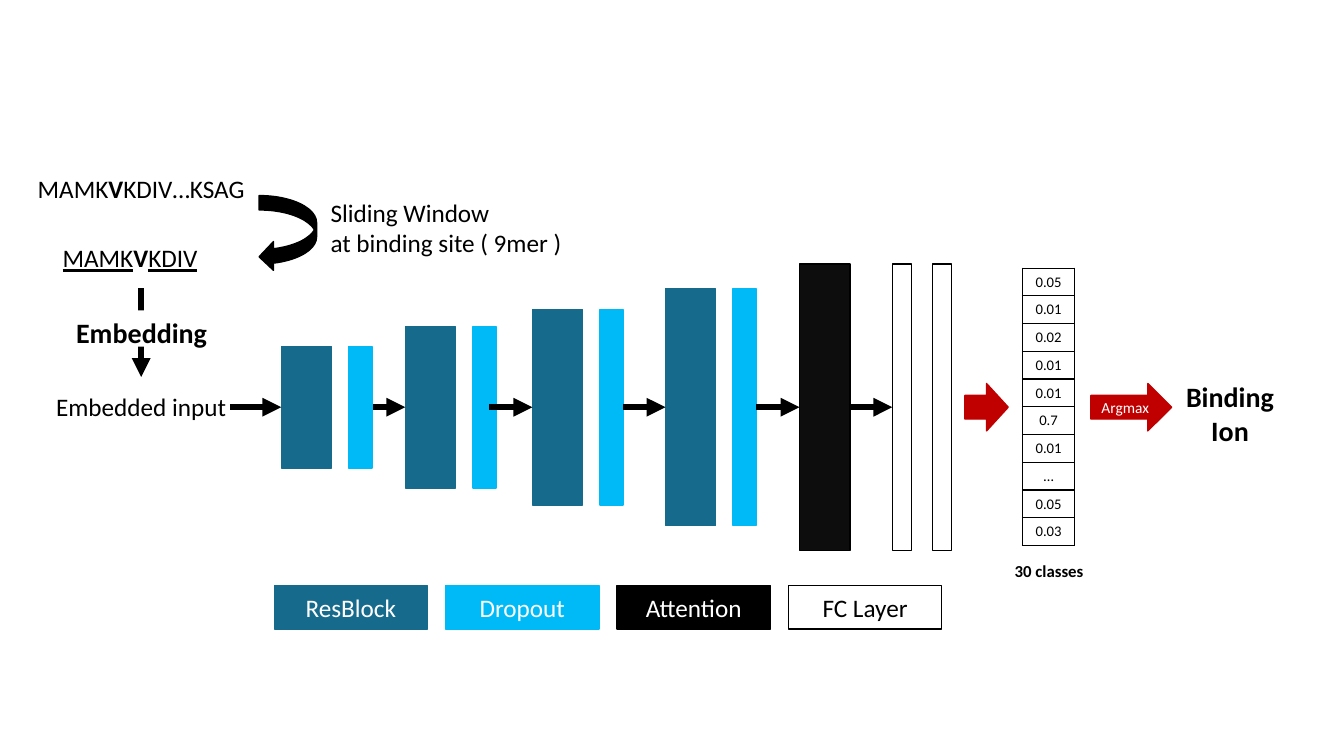
"""Builds a slide showing a sequence-to-ion classification network."""
from dataclasses import dataclass
from typing import Optional

from lxml import etree
from pptx import Presentation
from pptx import util as u
from pptx.dml.color import RGBColor
from pptx.enum import shapes, text
from pptx.oxml.ns import qn

Box = tuple[float, float, float, float]
SHAPE = shapes.MSO_SHAPE


@dataclass(frozen=True)
class Theme:
    font: str = "Calibri"
    black: str = "000000"
    white: str = "FFFFFF"
    res: str = "166B8C"
    drop: str = "00BAF8"
    attention: str = "0D0D0D"
    red: str = "C00000"
    head: float = 20
    body: float = 18
    caption: float = 12
    arrow: float = 11
    cell: float = 10.5
    thin: float = 1
    thick: float = 4.5


T = Theme()


@dataclass(frozen=True)
class Run:
    text: str
    bold: bool = False
    underline: bool = False


@dataclass(frozen=True)
class Label:
    lines: list[list[Run]]
    size: float = T.body
    color: str = T.black
    align: text.PP_ALIGN = text.PP_ALIGN.CENTER
    anchor: text.MSO_ANCHOR = text.MSO_ANCHOR.MIDDLE
    wrap: bool = True
    grow: bool = False


@dataclass(frozen=True)
class Block:
    box: Box
    fill: str
    line: Optional[str]
    kind: SHAPE = SHAPE.RECTANGLE
    label: Optional[Label] = None


@dataclass(frozen=True)
class Stage:
    left: float
    height: float


@dataclass(frozen=True)
class Arrow:
    x1: float
    y1: float
    x2: float
    y2: float


AXIS = 4.04
STAGES = [Stage(2.79, 1.21), Stage(4.02, 1.6), Stage(5.28, 1.94), Stage(6.6, 2.35)]
FLOW = [(2.28, 2.79), (3.7, 4.02), (4.85, 5.28), (6.18, 6.6), (7.5, 7.93), (8.43, 8.85)]
KEY = [("ResBlock", T.res, T.res, T.white), ("Dropout", T.drop, T.drop, T.white),
       ("Attention", T.black, T.black, T.white), ("FC Layer", T.white, T.black, T.black)]
SCORES = ["0.05", "0.01", "0.02", "0.01", "0.01", "0.7", "0.01", "…", "0.05", "0.03"]


def rgb(color: str) -> RGBColor:
    """Turn a hex string into a colour."""
    return RGBColor.from_string(color)


def inches(box: Box) -> list[u.Length]:
    """Turn a box into lengths."""
    return [u.Inches(v) for v in box]


def centred(left: float, width: float, height: float) -> Box:
    """Place a box on the horizontal axis of the network."""
    return left, AXIS - height / 2, width, height


def write(tf, label: Label) -> None:
    """Fill a text frame run by run."""
    tf.word_wrap = label.wrap
    tf.vertical_anchor = label.anchor
    if label.grow:
        tf.auto_size = text.MSO_AUTO_SIZE.SHAPE_TO_FIT_TEXT
    for i, line in enumerate(label.lines):
        p = tf.add_paragraph() if i else tf.paragraphs[0]
        p.alignment = label.align
        for run in line:
            r = p.add_run()
            r.text = run.text
            r.font.name, r.font.size = T.font, u.Pt(label.size)
            r.font.bold, r.font.underline = run.bold, run.underline
            r.font.color.rgb = rgb(label.color)


def add_text(s, box: Box, label: Label) -> None:
    """Add a text box."""
    write(s.shapes.add_textbox(*inches(box)).text_frame, label)


def add_block(s, block: Block) -> None:
    """Add a filled preset shape."""
    sp = s.shapes.add_shape(block.kind, *inches(block.box))
    sp.shadow.inherit = False
    sp.fill.solid()
    sp.fill.fore_color.rgb = rgb(block.fill)
    if block.line:
        sp.line.color.rgb = rgb(block.line)
        sp.line.width = u.Pt(T.thin)
    else:
        sp.line.fill.background()
    if block.label:
        write(sp.text_frame, block.label)


def add_arrow(s, arrow: Arrow) -> None:
    """Add a thick line with an arrowhead at its end."""
    ends = inches((arrow.x1, arrow.y1, arrow.x2, arrow.y2))
    cx = s.shapes.add_connector(shapes.MSO_CONNECTOR.STRAIGHT, *ends)
    cx.line.color.rgb = rgb(T.black)
    cx.line.width = u.Pt(T.thick)
    etree.SubElement(cx.line._get_or_add_ln(), qn("a:tailEnd"), type="triangle")
    etree.SubElement(cx._element.spPr, qn("a:effectLst"))


def add_scores(s, box: Box) -> None:
    """Add the one-column table of class scores."""
    table = s.shapes.add_table(len(SCORES), 1, *inches(box)).table
    table.first_row = table.horz_banding = False
    for row, score in zip(table.rows, SCORES):
        row.height = u.Inches(box[3] / len(SCORES))
        cell = row.cells[0]
        cell.margin_left = cell.margin_right = u.Inches(0.12)
        cell.margin_top = cell.margin_bottom = u.Inches(0.05)
        cell.vertical_anchor = text.MSO_ANCHOR.MIDDLE
        cell.fill.background()
        p = cell.text_frame.paragraphs[0]
        p.alignment = text.PP_ALIGN.CENTER
        r = p.add_run()
        r.text = score
        r.font.name, r.font.size = T.font, u.Pt(T.cell)
        r.font.color.rgb = rgb(T.black)
        for i, side in enumerate(("lnL", "lnR", "lnT", "lnB")):
            ln = etree.Element(qn(f"a:{side}"), w=str(u.Pt(T.thin)))
            fill = etree.SubElement(ln, qn("a:solidFill"))
            etree.SubElement(fill, qn("a:srgbClr"), val=T.black)
            cell._tc.get_or_add_tcPr().insert(i, ln)


def main() -> None:
    """Build and save the slide."""
    prs = Presentation()
    prs.slide_width, prs.slide_height = u.Inches(13.33), u.Inches(7.5)
    s = prs.slides.add_slide(prs.slide_layouts[6])
    top = text.MSO_ANCHOR.TOP

    for stage in STAGES:
        add_block(s, Block(centred(stage.left, 0.5, stage.height), T.res, T.res))
        add_block(s, Block(centred(stage.left + 0.67, 0.23, stage.height), T.drop, T.drop))
    add_block(s, Block(centred(7.93, 0.5, 2.84), T.attention, T.black))
    for left in (8.85, 9.25):
        add_block(s, Block(centred(left, 0.19, 2.84), T.white, T.black))
    for start, end in FLOW:
        add_arrow(s, Arrow(start, AXIS, end, AXIS))
    add_arrow(s, Arrow(1.4, 2.86, 1.4, 3.74))

    add_text(s, (0.27, 1.67, 2.26, 0.4), Label(
        [[Run("MAMK"), Run("V", bold=True), Run("KDIV…KSAG")]], anchor=top, grow=True))
    add_text(s, (0.52, 2.36, 1.54, 0.4), Label(
        [[Run("MAMK", underline=True), Run("V", bold=True), Run("KDIV", underline=True)]],
        anchor=top, grow=True))
    add_text(s, (0.36, 3.83, 2.08, 0.4), Label([[Run("Embedded input")]], anchor=top, grow=True))
    add_block(s, Block((0.62, 3.08, 1.57, 0.36), T.white, None, label=Label(
        [[Run("Embedding", bold=True)]], T.head, anchor=top)))
    add_block(s, Block((2.57, 1.94, 0.57, 0.75), T.black, T.black, SHAPE.CURVED_LEFT_ARROW))
    add_text(s, (3.18, 1.91, 2.52, 0.71), Label(
        [[Run("Sliding Window")], [Run("at binding site ( 9mer )")]],
        align=text.PP_ALIGN.LEFT, anchor=top, wrap=False, grow=True))

    add_scores(s, (10.14, 2.66, 0.52, 2.75))
    add_block(s, Block((9.95, 5.49, 0.91, 0.34), T.white, T.white, label=Label(
        [[Run("30 classes", bold=True)]], T.caption)))
    add_block(s, Block(centred(9.57, 0.43, 0.47), T.red, T.red, SHAPE.RIGHT_ARROW))
    add_block(s, Block(centred(10.82, 0.8, 0.47), T.red, T.red, SHAPE.RIGHT_ARROW, Label(
        [[Run("Argmax")]], T.arrow, T.white, wrap=False)))
    add_text(s, (11.65, 3.72, 1.1, 0.77), Label(
        [[Run("Binding Ion", bold=True)]], T.head, anchor=top, grow=True))

    for i, (name, fill, line, color) in enumerate(KEY):
        add_block(s, Block((2.72 + 1.7 * i, 5.81, 1.52, 0.43), fill, line,
                           label=Label([[Run(name)]], color=color)))
    prs.save("out.pptx")


if __name__ == "__main__":
    main()
